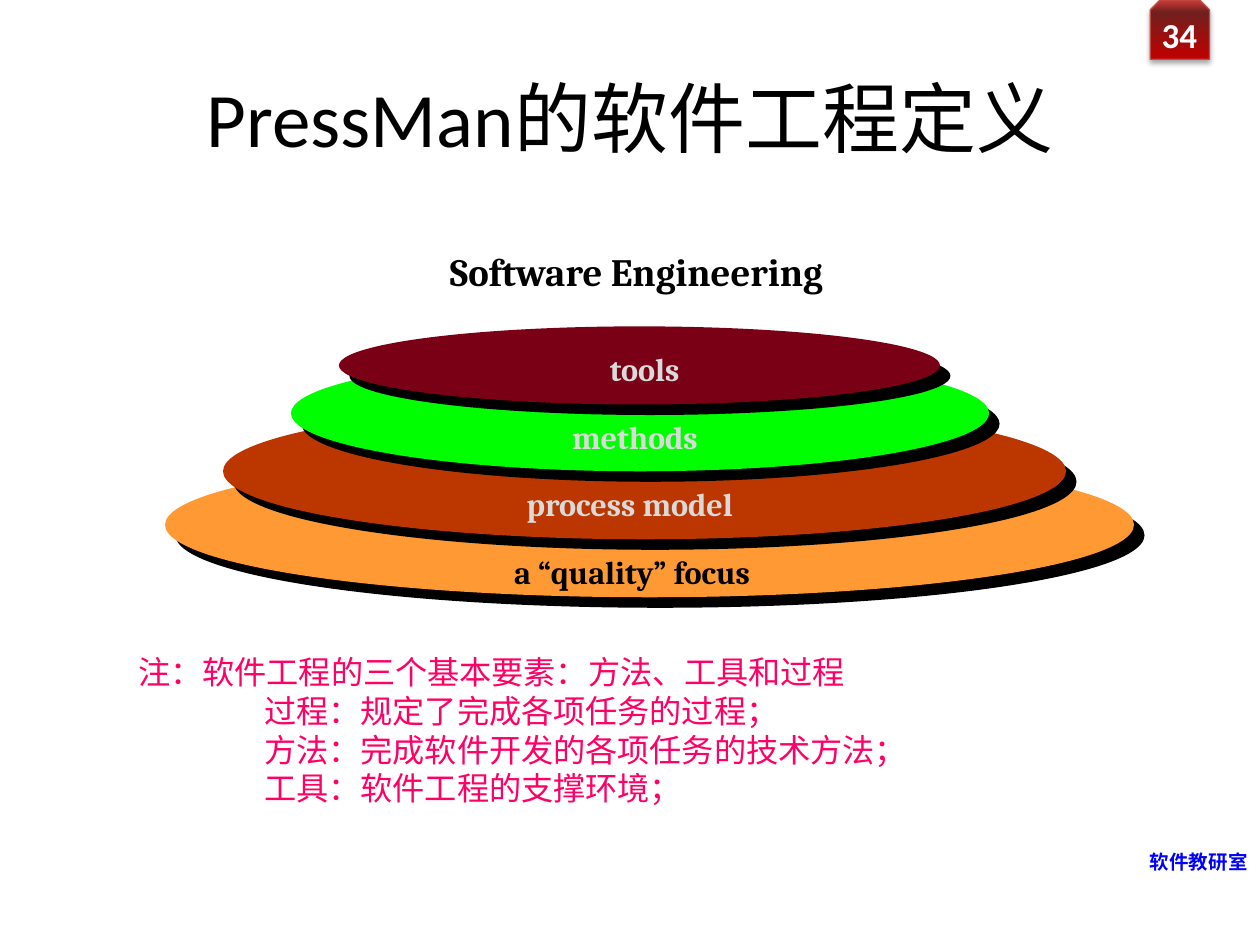
from pptx import Presentation
from pptx.dml.color import RGBColor
from pptx.enum.shapes import MSO_SHAPE
from pptx.enum.text import MSO_ANCHOR, PP_ALIGN
from pptx.oxml import parse_xml
from pptx.oxml.ns import nsdecls
from pptx.util import Inches, Pt

BLACK = RGBColor(0x00, 0x00, 0x00)
WHITE = RGBColor(0xFF, 0xFF, 0xFF)
GREY = RGBColor(0xDA, 0xDA, 0xDA)
BLUE = RGBColor(0x00, 0x00, 0xFF)
PINK = RGBColor(0xFF, 0x00, 0x66)
ORANGE = RGBColor(0xFF, 0x99, 0x33)
RUST = RGBColor(0xBC, 0x37, 0x00)
GREEN = RGBColor(0x00, 0xFF, 0x00)
MAROON = RGBColor(0x79, 0x00, 0x15)
BADGE_LINE = RGBColor(0xBF, 0x4C, 0x48)
BADGE_STOPS = [(0, RGBColor(0xC0, 0x00, 0x00)),
               (80, RGBColor(0x70, 0x20, 0x1E)),
               (100, RGBColor(0xCE, 0x3B, 0x37))]

# Ellipse box and fill, then label, label box and label colour, bottom layer first
LAYERS = [
    ((1.31, 3.59, 7.69, 1.15), ORANGE, "a “quality” focus", (3.99, 4.34, 2.17, 0.4), BLACK),
    ((1.77, 3.2, 6.69, 1.08), RUST, "process model", (4.09, 3.8, 1.86, 0.4), GREY),
    ((2.31, 2.82, 5.54, 0.92), GREEN, "methods", (4.45, 3.27, 1.2, 0.4), GREY),
    ((2.69, 2.59, 4.77, 0.62), MAROON, "tools", (4.75, 2.73, 0.75, 0.4), GREY),
]
NOTE = "注：软件工程的三个基本要素：方法、工具和过程"
NOTE_ITEMS = [
    "过程：规定了完成各项任务的过程；",
    "方法：完成软件开发的各项任务的技术方法；",
    "工具：软件工程的支撑环境；",
]


def box(values):
    return [Inches(v) for v in values]


def format_run(p, text, size, font, color, bold=False):
    r = p.add_run()
    r.text = text
    for name, value in {"size": Pt(size), "name": font, "bold": bold}.items():
        setattr(r.font, name, value)
    r.font.color.rgb = color


def add_shadow(sp, alpha, blur, dist, angle):
    """Outer black shadow: alpha in percent, blur and dist in points, angle in degrees."""
    sp._element.spPr.append(parse_xml(
        f'<a:effectLst {nsdecls("a")}><a:outerShdw blurRad="{Pt(blur)}" '
        f'dist="{Pt(dist)}" dir="{angle * 60000}" algn="ctr" rotWithShape="0">'
        f'<a:srgbClr val="000000"><a:alpha val="{alpha * 1000}"/></a:srgbClr>'
        f'</a:outerShdw></a:effectLst>'))


def add_text(shapes, at, text, size, font, color, bold=False, wrap=True,
             align=PP_ALIGN.LEFT, anchor=MSO_ANCHOR.TOP, inset=(0.1, 0.05)):
    tf = shapes.add_textbox(*box(at)).text_frame
    side, end = box(inset)
    for name, value in {"word_wrap": wrap, "vertical_anchor": anchor,
                        "margin_left": side, "margin_right": side,
                        "margin_top": end, "margin_bottom": end}.items():
        setattr(tf, name, value)
    p = tf.paragraphs[0]
    p.alignment = align
    format_run(p, text, size, font, color, bold)
    return tf


def add_title(s, text):
    title = s.shapes.title
    title.left, title.top, title.width, title.height = box((0.5, 0.3, 9, 1.25))
    tf = title.text_frame
    tf.vertical_anchor = MSO_ANCHOR.MIDDLE
    p = tf.paragraphs[0]
    p.alignment = PP_ALIGN.CENTER
    format_run(p, text, 44, "Calibri", BLACK)


def add_page_badge(s, number):
    sp = s.shapes.add_shape(MSO_SHAPE.SNIP_2_SAME_RECTANGLE, *box((9.13, 0, 0.47, 0.47)))
    stops = "".join(f'<a:gs pos="{pos * 1000}"><a:srgbClr val="{color}"/></a:gs>'
                    for pos, color in BADGE_STOPS)
    sp._element.spPr.append(parse_xml(
        f'<a:gradFill {nsdecls("a")} rotWithShape="1"><a:gsLst>{stops}</a:gsLst>'
        f'<a:lin ang="16200000" scaled="0"/></a:gradFill>'))
    sp.line.color.rgb = BADGE_LINE
    sp.line.width = Pt(0.75)
    add_shadow(sp, 35, 3.1, 1.8, 90)
    add_text(s.shapes, (8.97, 0.07, 0.63, 0.4), number, 20, "Calibri", WHITE,
             bold=True, align=PP_ALIGN.RIGHT, anchor=MSO_ANCHOR.MIDDLE)


def add_note(s):
    tf = add_text(s.shapes, (1, 5.13, 8, 1.65), NOTE, 18.4, "Arial", PINK)
    for item in NOTE_ITEMS:
        p = tf.add_paragraph()
        p._p.get_or_add_pPr().set("marL", str(Inches(1)))
        format_run(p, item, 18.4, "Arial", PINK)


def add_layer_diagram(s):
    shapes = s.shapes.add_group_shape().shapes
    label = {"font": "Cambria", "bold": True, "wrap": False, "inset": (0.09, 0.04)}
    heading = add_text(shapes, (3.48, 1.97, 3.25, 0.42), "Software Engineering",
                       22.1, color=BLACK, **label)
    heading.paragraphs[0].line_spacing = 0.9
    for at, fill, *_ in LAYERS:
        sp = shapes.add_shape(MSO_SHAPE.OVAL, *box(at))
        sp.fill.solid()
        sp.fill.fore_color.rgb = fill
        sp.line.fill.background()
        add_shadow(sp, 100, 0, 8.5, 45)
    for _, _, text, at, color in LAYERS:
        add_text(shapes, at, text, 18.4, color=color, **label)


def main():
    prs = Presentation()
    prs.slide_width, prs.slide_height = box((10, 7.5))
    s = prs.slides.add_slide(prs.slide_layouts[5])
    add_page_badge(s, "34")
    add_text(s.shapes, (7.67, 6.64, 2.33, 0.4), "软件教研室", 11.1, "Calibri", BLUE,
             bold=True, align=PP_ALIGN.RIGHT, anchor=MSO_ANCHOR.MIDDLE)
    add_title(s, "PressMan的软件工程定义")
    add_note(s)
    add_layer_diagram(s)
    prs.save("out.pptx")


if __name__ == "__main__":
    main()
